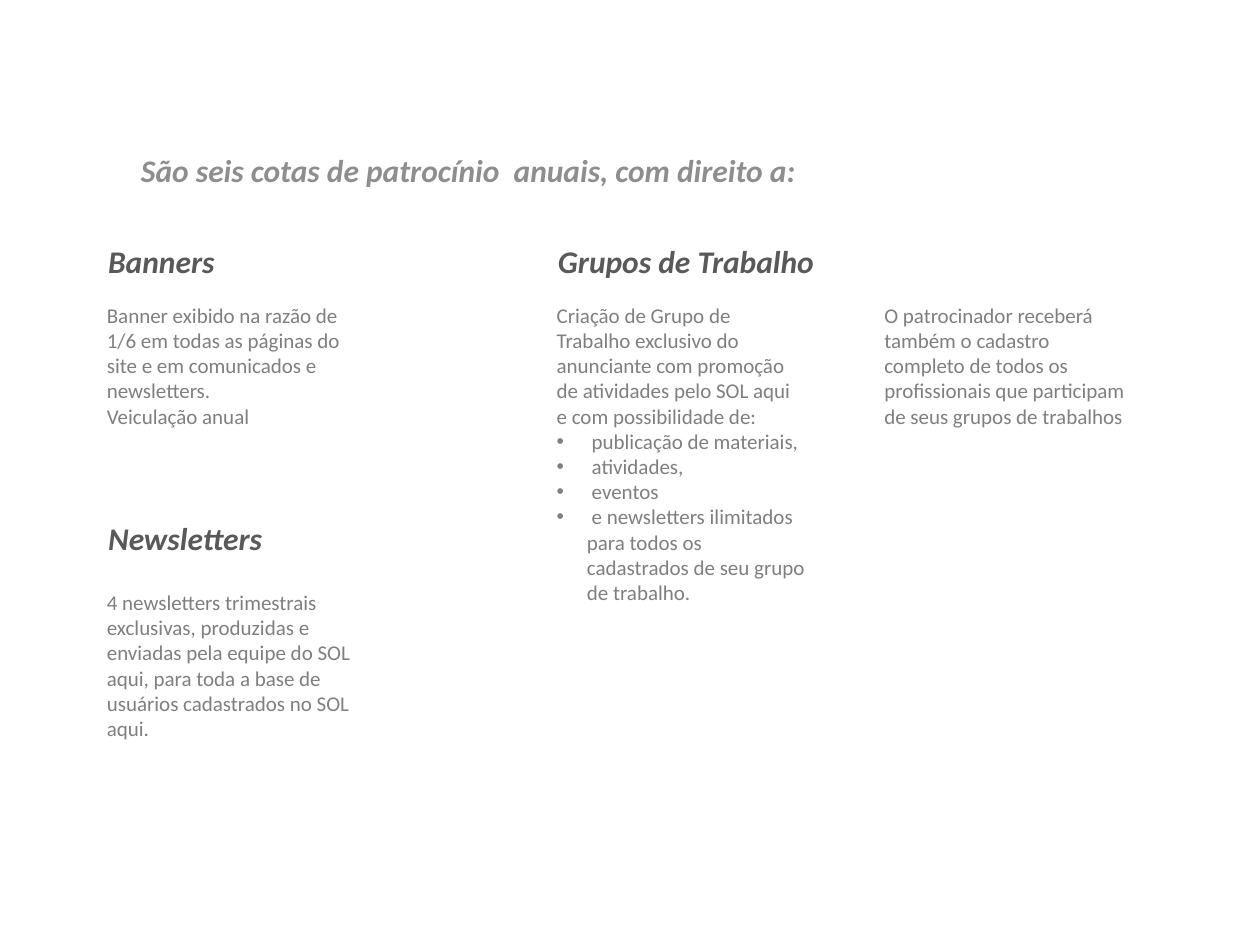
from lxml.etree import SubElement
from pptx import Presentation
from pptx.dml.color import RGBColor
from pptx.enum.shapes import MSO_SHAPE as Shape
from pptx.enum.text import MSO_AUTO_SIZE as AutoSize
from pptx.oxml.ns import qn
from pptx.util import Emu, Pt

PX = 9144  # 100 px to the inch
WHITE, INTRO, HEADING, BODY = "FFFFFF", "8E8E8E", "595959", "7F7F7F"
BULLET_INDENT = 24
COLUMN_WIDTH = 217


def px(length):
    return Emu(length * PX)


def color(hex_text):
    return RGBColor.from_string(hex_text)


def add_white_shape(shapes, kind, left, top, width, height):
    shape = shapes.add_shape(kind, px(left), px(top), px(width), px(height))
    shape.shadow.inherit = False
    shape.fill.solid()
    shape.fill.fore_color.rgb = color(WHITE)
    shape.line.fill.background()
    return shape


def add_panel(slide, left, top, width, height):
    """Half-transparent rounded panel behind a section."""
    panel = add_white_shape(slide.shapes, Shape.ROUNDED_RECTANGLE,
                            left, top, width, height)
    panel.adjustments[0] = 0.04
    fill_color = panel._element.spPr.find(".//" + qn("a:srgbClr"))
    SubElement(fill_color, qn("a:alpha"), val="50000")


def add_text(slide, left, top, width, height, wrap):
    box = slide.shapes.add_textbox(px(left), px(top), px(width), px(height))
    frame = box.text_frame
    frame.word_wrap = wrap
    frame.auto_size = AutoSize.SHAPE_TO_FIT_TEXT
    return frame


def set_font(paragraph, size, hex_text, strong=False):
    font = paragraph.font
    font.name, font.size = "Calibri", Pt(size)
    font.bold = font.italic = strong
    font.color.rgb = color(hex_text)


def add_heading(slide, left, top, width, text, hex_text=HEADING):
    paragraph = add_text(slide, left, top, width, 40, False).paragraphs[0]
    paragraph.text = text
    set_font(paragraph, 18, hex_text, strong=True)


def add_bullet(paragraph):
    properties = paragraph._p.get_or_add_pPr()
    properties.set("marL", str(px(BULLET_INDENT)))
    properties.set("indent", str(-px(BULLET_INDENT)))
    mark = properties.makeelement(qn("a:buChar"), {"char": "•"})
    bullet_font = properties.makeelement(qn("a:buFont"), {"typeface": "Arial"})
    properties.insert(0, bullet_font)
    properties.insert(1, mark)


def add_body(slide, left, top, height, lines, bullets=()):
    frame = add_text(slide, left, top, COLUMN_WIDTH, height, True)
    for index, line in enumerate([*lines, *bullets]):
        paragraph = frame.add_paragraph() if index else frame.paragraphs[0]
        paragraph.text = line
        set_font(paragraph, 12, BODY)
        if index >= len(lines):
            add_bullet(paragraph)


def add_banners(slide, left, top):
    add_panel(slide, left, top, 250, 200)
    add_heading(slide, left + 9, top + 2, 108, "Banners")
    add_body(slide, left + 8, top + 50, 110, [
        "Banner exibido na razão de 1/6 em todas as páginas do site e em "
        "comunicados e newsletters.",
        "Veiculação anual"])


def add_newsletters(slide, left, top):
    add_panel(slide, left, top, 250, 220)
    add_heading(slide, left + 9, top + 2, 145, "Newsletters")
    add_body(slide, left + 8, top + 58, 130, [
        "4 newsletters trimestrais exclusivas, produzidas e enviadas pela "
        "equipe do SOL aqui, para toda a base de usuários cadastrados no "
        "SOL aqui."])


def add_work_groups(slide, left, top):
    add_panel(slide, left, top, 500, 350)
    add_heading(slide, left + 8, top + 2, 226, "Grupos de Trabalho")
    add_body(slide, left + 7, top + 50, 230, [
        "Criação de Grupo de Trabalho exclusivo do anunciante com promoção "
        "de atividades pelo SOL aqui e com possibilidade de:"],
        bullets=[
            " publicação de materiais,",
            " atividades,",
            " eventos",
            " e newsletters ilimitados para todos os cadastrados de seu "
            "grupo de trabalho."])
    add_body(slide, left + 267, top + 50, 110, [
        "O patrocinador receberá também o cadastro completo de todos os "
        "profissionais que participam de seus grupos de trabalhos"])


def add_navigation(slide, left, top):
    """Round button between a back and a forward arrow."""
    group = slide.shapes.add_group_shape()
    add_white_shape(group.shapes, Shape.OVAL, left + 30, top, 30, 40)
    for offset, rotation in ((0, 270), (67, 90)):
        arrow = add_white_shape(group.shapes, Shape.ISOSCELES_TRIANGLE,
                                left + offset, top + 12, 22, 17)
        arrow.rotation = rotation


def main():
    deck = Presentation()
    deck.slide_width, deck.slide_height = px(1000), px(750)
    slide = deck.slides.add_slide(deck.slide_layouts[6])

    add_navigation(slide, 814, 686)
    add_heading(slide, 102, 115, 543,
                "São seis cotas de patrocínio  anuais, com direito a:", INTRO)
    add_banners(slide, 67, 185)
    add_newsletters(slide, 67, 405)
    add_work_groups(slide, 425, 185)

    deck.save("out.pptx")


if __name__ == "__main__":
    main()
